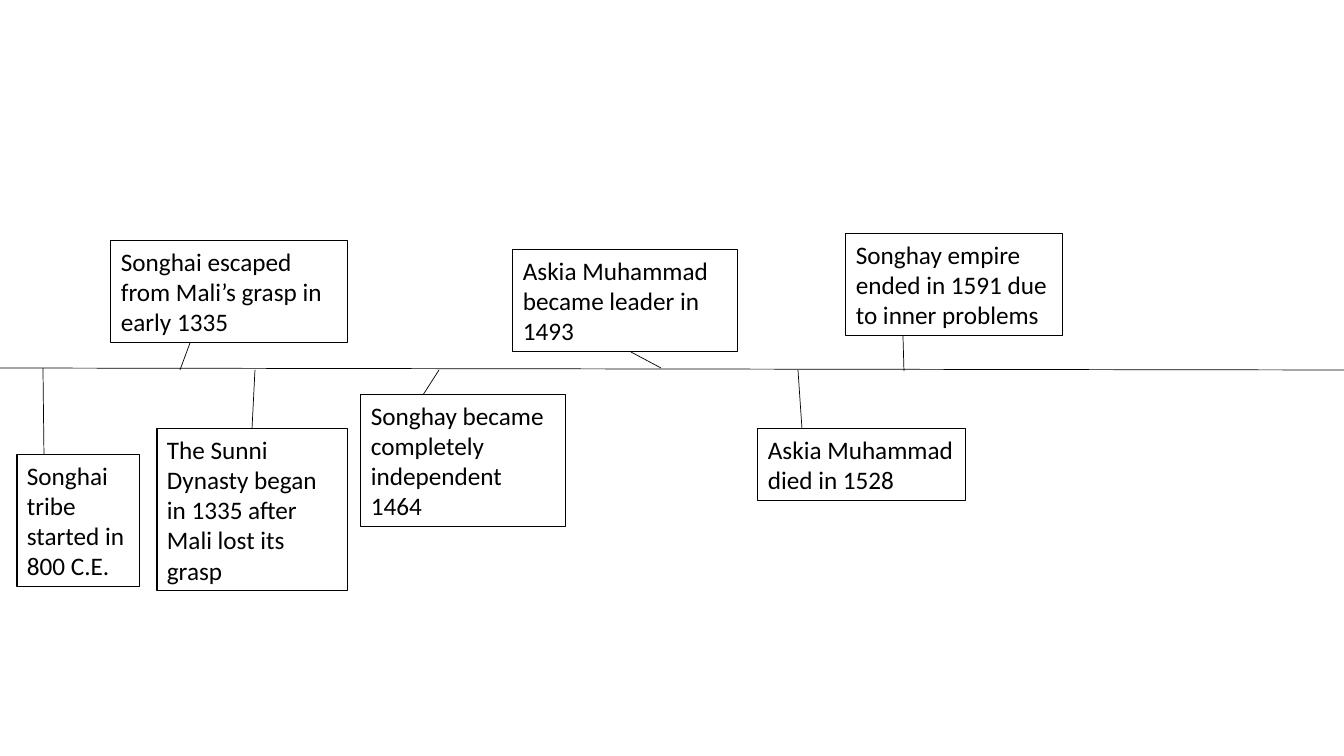
from dataclasses import dataclass

from lxml import etree
from pptx import Presentation
from pptx.dml.color import RGBColor
from pptx.enum.shapes import MSO_CONNECTOR
from pptx.enum.text import MSO_ANCHOR, MSO_AUTO_SIZE
from pptx.oxml.ns import qn
from pptx.util import Pt

STRAIGHT = MSO_CONNECTOR.STRAIGHT
TOP = MSO_ANCHOR.TOP
GROW = MSO_AUTO_SIZE.SHAPE_TO_FIT_TEXT

# Event text, box (left, top, width), text lines, leader start on the axis, leader x at the box
EVENTS = [
    ("Songhai escaped from Mali’s grasp in early 1335", (111, 241, 237), 3, (180, 370), 190),
    ("The Sunni Dynasty began in 1335 after Mali lost its grasp", (157, 429, 191), 5, (255, 370), 252),
    ("Songhai tribe started in 800 C.E.", (17, 455, 123), 4, (43, 368), 44),
    ("Songhay became completely independent 1464", (361, 395, 205), 4, (439, 370), 423),
    ("Songhay empire ended in 1591 due to inner problems", (846, 234, 217), 3, (904, 371), 903),
    ("Askia Muhammad became leader in 1493", (513, 250, 225), 3, (661, 368), 631),
    ("Askia Muhammad died in 1528", (758, 429, 208), 2, (798, 370), 802),
]
SLIDE_WIDTH, SLIDE_HEIGHT = 1344, 756
AXIS_START, AXIS_END = (0, 368), (SLIDE_WIDTH, 370)
LINE_HEIGHT, BOX_PADDING = 30, 12


@dataclass(frozen=True)
class Theme:
    ink: RGBColor = RGBColor(0, 0, 0)
    font: str = "Calibri"
    text_size: Pt = Pt(18)
    rule: Pt = Pt(0.5)
    border: Pt = Pt(0.75)


THEME = Theme()


def px(length):
    return round(length * 914400 / 100.8)


def add_rule(slide, start, end):
    rule = slide.shapes.add_connector(STRAIGHT, *map(px, (*start, *end)))
    rule.line.color.rgb = THEME.ink
    rule.line.width = THEME.rule
    etree.SubElement(rule._element.spPr, qn("a:effectLst"))


def add_event(slide, text, box, line_count, leader_start, leader_x):
    """Add an event box and the leader from the axis to its nearer edge."""
    left, top, width = box
    height = LINE_HEIGHT * line_count + BOX_PADDING
    is_above = top < leader_start[1]
    add_rule(slide, leader_start, (leader_x, top + height if is_above else top))

    event = slide.shapes.add_textbox(*map(px, (left, top, width, height)))
    event.line.color.rgb = THEME.ink
    event.line.width = THEME.border
    frame = event.text_frame
    frame.word_wrap = True
    frame.auto_size = GROW
    frame.vertical_anchor = TOP
    paragraph = frame.paragraphs[0]
    paragraph.text = text
    paragraph.font.name = THEME.font
    paragraph.font.size = THEME.text_size
    paragraph.font.color.rgb = THEME.ink


def main():
    deck = Presentation()
    deck.slide_width, deck.slide_height = px(SLIDE_WIDTH), px(SLIDE_HEIGHT)
    slide = deck.slides.add_slide(deck.slide_layouts[6])
    add_rule(slide, AXIS_START, AXIS_END)
    for event in EVENTS:
        add_event(slide, *event)
    deck.save("out.pptx")


if __name__ == "__main__":
    main()
